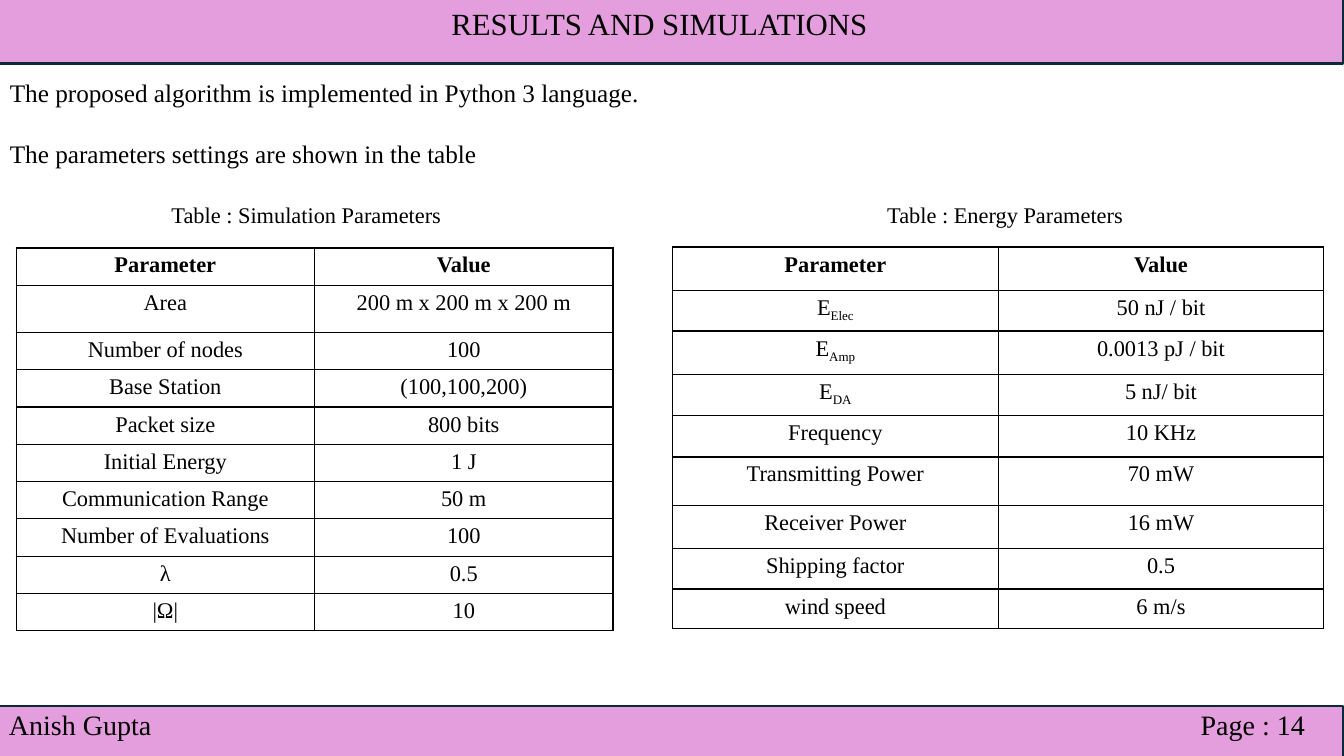
from lxml import etree
from pptx import Presentation
from pptx.dml.color import RGBColor
from pptx.enum.shapes import MSO_SHAPE
from pptx.enum.text import MSO_ANCHOR, PP_ALIGN
from pptx.oxml.ns import qn
from pptx.util import Inches, Pt

RECT = MSO_SHAPE.RECTANGLE
TOP = MSO_ANCHOR.TOP
LEFT, CENTER = PP_ALIGN.LEFT, PP_ALIGN.CENTER
FONT = "Times New Roman"
COLORS = {"band": "E59EDD", "edge": "092A39", "text": "000000", "border": "000000"}
TITLE_ONLY = 5

# Each row: parameter, its subscript, value
SIMULATION = [
    ("Parameter", "", "Value"),
    ("Area", "", "200 m x 200 m x 200 m"),
    ("Number of nodes", "", "100"),
    ("Base Station", "", "(100,100,200)"),
    ("Packet size", "", "800 bits"),
    ("Initial Energy", "", "1 J"),
    ("Communication Range", "", "50 m"),
    ("Number of Evaluations", "", "100"),
    ("λ", "", "0.5"),
    ("|Ω|", "", "10"),
]
ENERGY = [
    ("Parameter", "", "Value"),
    ("E", "Elec", "50 nJ / bit"),
    ("E", "Amp", "0.0013 pJ / bit"),
    ("E", "DA", "5 nJ/ bit"),
    ("Frequency", "", "10 KHz"),
    ("Transmitting Power", "", "70 mW"),
    ("Receiver Power", "", "16 mW"),
    ("Shipping factor", "", "0.5"),
    ("wind speed", "", "6 m/s"),
]


def rgb(name):
    return RGBColor.from_string(COLORS[name])


def add_run(p, text, size, bold=False):
    r = p.add_run()
    r.text = text
    for name, value in {"name": FONT, "size": Pt(size), "bold": bold}.items():
        setattr(r.font, name, value)
    r.font.color.rgb = rgb("text")
    return r


def add_band(s, top, height):
    sp = s.shapes.add_shape(RECT, Inches(-0.01), Inches(top), Inches(13.33), Inches(height))
    sp.shadow.inherit = False
    sp.fill.solid()
    sp.fill.fore_color.rgb = rgb("band")
    sp.line.color.rgb = rgb("edge")
    sp.line.width = Pt(1.5)


def add_text(s, box, text, size):
    sp = s.shapes.add_textbox(*map(Inches, box))
    sp.text_frame.word_wrap = True
    add_run(sp.text_frame.paragraphs[0], text, size)
    return sp.text_frame


def set_title(s, text):
    sp = s.shapes.title
    sp.left, sp.top, sp.width, sp.height = map(Inches, (0, 0, 13.08, 0.47))
    sp.element.getparent().append(sp.element)  # in front of the header band
    tf = sp.text_frame
    tf.vertical_anchor = TOP
    tf.paragraphs[0].alignment = CENTER
    add_run(tf.paragraphs[0], text, 22)


def add_center_tabs(p, positions):
    tabs = etree.SubElement(p._p.get_or_add_pPr(), qn("a:tabLst"))
    for pos in positions:
        etree.SubElement(tabs, qn("a:tab"), pos=str(Inches(pos)), algn="ctr")


def add_intro(s):
    """The two statements and, on a tabbed line, both table captions."""
    tf = add_text(s, (0, 0.72, 13.33, 1.7),
                  "The proposed algorithm is implemented in Python 3 language.", 18)
    p = tf.add_paragraph()
    p.space_before = Pt(22)
    add_run(p, "The parameters settings are shown in the table", 18)
    p = tf.add_paragraph()
    p.space_before = Pt(23)
    add_center_tabs(p, (2.94, 9.87))
    add_run(p, "\tTable : Simulation Parameters\tTable : Energy Parameters", 16)


def set_borders(cell):
    tc_pr = cell._tc.get_or_add_tcPr()
    for side in ("lnL", "lnR", "lnT", "lnB"):
        ln = etree.SubElement(tc_pr, qn(f"a:{side}"), w=str(Pt(1)))
        fill = etree.SubElement(ln, qn("a:solidFill"))
        etree.SubElement(fill, qn("a:srgbClr"), val=COLORS["border"])


def add_cell(cell, text, subscript, bold):
    set_borders(cell)
    cell.fill.background()
    p = cell.text_frame.paragraphs[0]
    p.alignment = CENTER
    add_run(p, text, 16, bold)
    if subscript:
        r = add_run(p, subscript, 16, bold)
        r.font._element.set("baseline", "-25000")


def add_parameters(s, left, top, col_width, heights, rows):
    table = s.shapes.add_table(len(rows), 2, Inches(left), Inches(top),
                               Inches(2 * col_width), Inches(sum(heights))).table
    table.first_row = table.horz_banding = False
    for col in table.columns:
        col.width = Inches(col_width)
    for i, (parameter, subscript, value) in enumerate(rows):
        table.rows[i].height = Inches(heights[i])
        add_cell(table.cell(i, 0), parameter, subscript, i == 0)
        add_cell(table.cell(i, 1), value, "", i == 0)


def main():
    prs = Presentation()
    prs.slide_width, prs.slide_height = Inches(13.33), Inches(7.5)
    s = prs.slides.add_slide(prs.slide_layouts[TITLE_ONLY])
    add_band(s, -0.01, 0.64)
    add_band(s, 7, 0.51)
    add_text(s, (-0.01, 6.97, 3.59, 0.44), "Anish\u00a0Gupta".replace("\u00a0", " "), 20)
    add_text(s, (11.81, 6.97, 1.39, 0.44), "Page : 14", 20)
    set_title(s, "RESULTS AND SIMULATIONS")
    add_intro(s)
    add_parameters(s, 0.16, 2.46, 2.96, [0.37, 0.47] + [0.37] * 8, SIMULATION)
    add_parameters(s, 6.67, 2.45, 3.23,
                   [0.43, 0.4, 0.43, 0.41, 0.41, 0.48, 0.43, 0.4, 0.39], ENERGY)
    prs.save("out.pptx")


if __name__ == "__main__":
    main()
